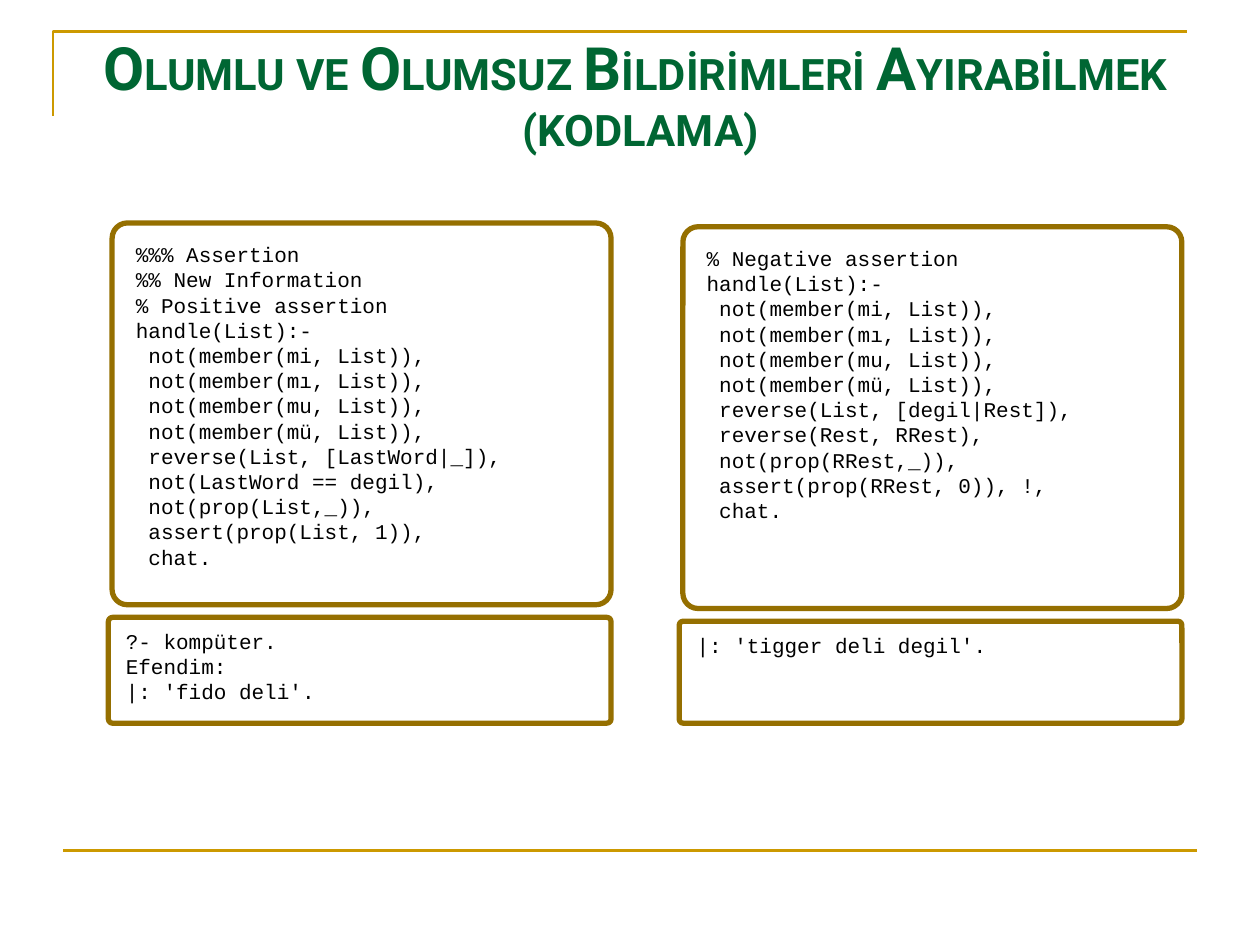
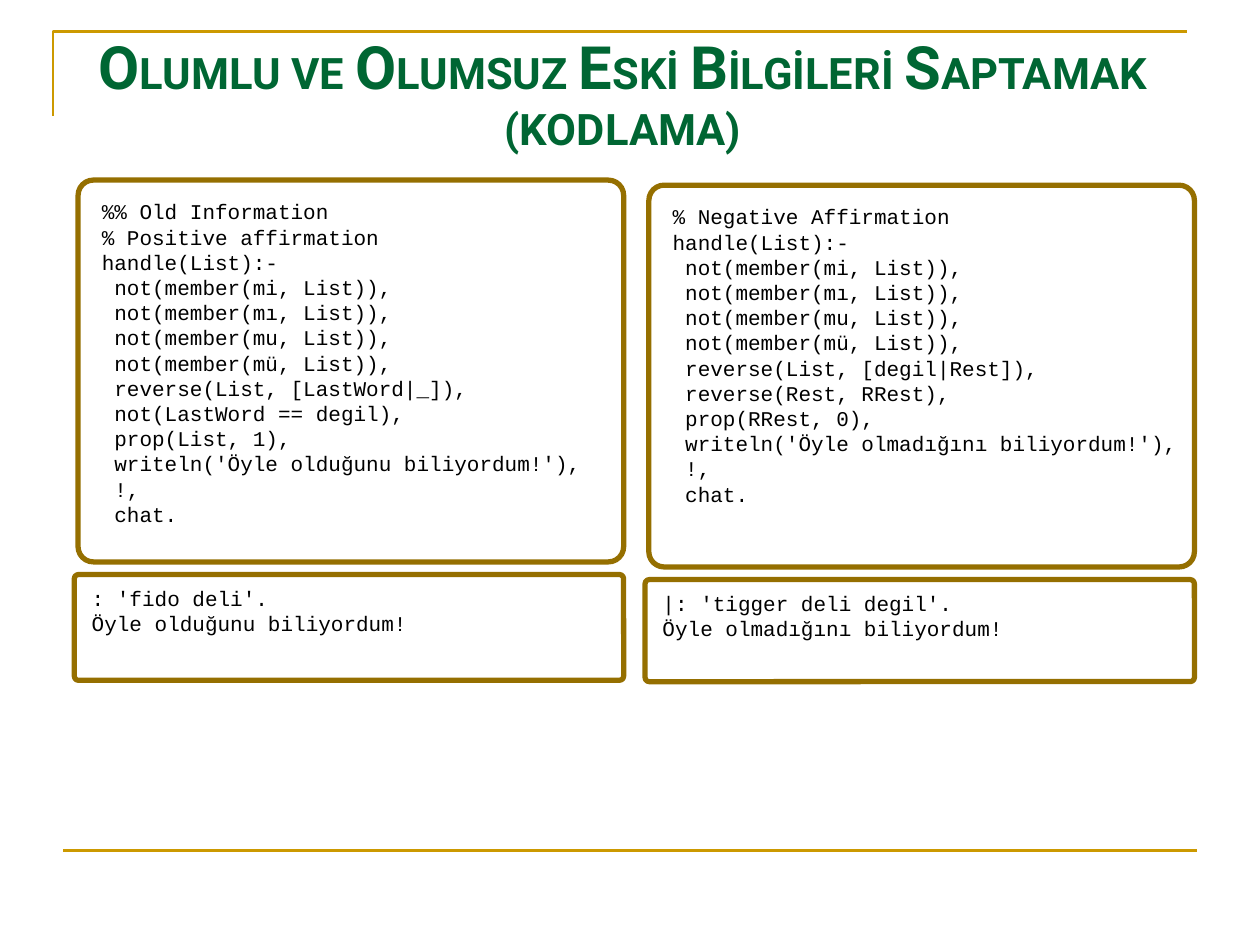
import pptx
import pptx.dml.color
import pptx.enum.shapes
import pptx.enum.text
import pptx.oxml.ns
import pptx.util
import lxml.etree

PX = 9144
GOLD = "CC9900"
BROWN = "956F00"
GREEN = "006633"
BLACK = "000000"
CODE_FONT = "Courier New"
TITLE_FONT = "Roboto"
LARGE_CAP = 34.1
SMALL_CAP = 24.8
CODE_HEIGHT = 303
QUERY_OFFSET = 313

QUESTION_CHECKS = [f" not(member({particle}, List))," for particle in ("mi", "mı", "mu", "mü")]
POSITIVE_START = ["handle(List):-", *QUESTION_CHECKS,
                  " reverse(List, [LastWord|_]),", " not(LastWord == degil),"]
NEGATIVE_START = ["handle(List):-", *QUESTION_CHECKS,
                  " reverse(List, [degil|Rest]),", " reverse(Rest, RRest),"]


def color(hex_string):
    return pptx.dml.color.RGBColor.from_string(hex_string)


def px(*lengths):
    return [length * PX for length in lengths]


def style_outline(shape, hex_string, width):
    shape.line.color.rgb = color(hex_string)
    shape.line.width = pptx.util.Pt(width)


def add_run(paragraph, text, font_name, size, hex_string, bold=False):
    run = paragraph.add_run()
    run.text = text
    run.font.name = font_name
    run.font.size = pptx.util.Pt(size)
    run.font.bold = bold
    run.font.color.rgb = color(hex_string)


def next_paragraph(text_frame, index):
    return text_frame.add_paragraph() if index else text_frame.paragraphs[0]


def add_gold_rules(slide):
    builder = slide.shapes.build_freeform(*px(42, 92))
    builder.add_line_segments([px(42, 25), px(942, 25)], close=False)
    corner = builder.convert_to_shape()
    corner.shadow.inherit = False
    corner.fill.background()
    style_outline(corner, GOLD, 1.5)

    footer_rule = slide.shapes.add_connector(
        pptx.enum.shapes.MSO_CONNECTOR.STRAIGHT, *px(50, 675, 950, 675))
    style_outline(footer_rule, GOLD, 1.5)
    lxml.etree.SubElement(footer_rule._element.spPr, pptx.oxml.ns.qn("a:effectLst"))


def set_title(slide, left, top, lines):
    title = slide.shapes.title
    title.left, title.top, title.width, title.height = px(left, top, 947, 81)
    text_frame = title.text_frame
    text_frame.word_wrap = True
    text_frame.auto_size = pptx.enum.text.MSO_AUTO_SIZE.NONE
    text_frame.vertical_anchor = pptx.enum.text.MSO_ANCHOR.TOP
    for line_index, line in enumerate(lines):
        paragraph = next_paragraph(text_frame, line_index)
        paragraph.alignment = pptx.enum.text.PP_ALIGN.CENTER
        paragraph.line_spacing = pptx.util.Pt(30)
        paragraph.space_before = pptx.util.Pt(0)
        for piece_index, piece in enumerate(line.split("|")):
            if piece:
                size = SMALL_CAP if piece_index % 2 else LARGE_CAP
                add_run(paragraph, piece, TITLE_FONT, size, GREEN, bold=True)


def add_frame(slide, left, top, width, height):
    frame = slide.shapes.add_shape(
        pptx.enum.shapes.MSO_SHAPE.ROUNDED_RECTANGLE, *px(left, top, width, height))
    frame.adjustments[0] = 0.04
    frame.shadow.inherit = False
    frame.fill.background()
    style_outline(frame, BROWN, 3)


def add_code(slide, left, top, width, lines):
    height = 10 + 20 * len(lines)
    text_box = slide.shapes.add_textbox(*px(left, top, width, height))
    text_frame = text_box.text_frame
    text_frame.word_wrap = True
    for index, line in enumerate(lines):
        add_run(next_paragraph(text_frame, index), line, CODE_FONT, 12, BLACK)


def add_panel(slide, left, top, width, query_height, code_width, code, query):
    add_frame(slide, left, top, width, CODE_HEIGHT)
    add_code(slide, left + 9, top + 10, code_width, code)
    query_left, query_top = left - 3, top + QUERY_OFFSET
    add_frame(slide, query_left, query_top, width + 3, query_height)
    add_code(slide, query_left + 4, query_top + 4, 327, query)


def add_code_slide(presentation, title_left, title_top, title_lines):
    slide = presentation.slides.add_slide(presentation.slide_layouts[5])
    add_gold_rules(slide)
    set_title(slide, title_left, title_top, title_lines)
    return slide


def main():
    presentation = pptx.Presentation()
    presentation.slide_width, presentation.slide_height = px(1000, 750)

    assertions = add_code_slide(presentation, 35, 35, [
        "O|LUMLU VE |O|LUMSUZ |B|İLDİRİMLERİ |A|YIRABİLMEK ", "|(KODLAMA)"])
    add_panel(assertions, 89, 177, 396, 84, 310,
              ["%%% Assertion", "%% New Information", "% Positive assertion",
               *POSITIVE_START, " not(prop(List,_)),", " assert(prop(List, 1)),", " chat."],
              ["?- kompüter.", "Efendim:", "|: 'fido deli'."])
    add_panel(assertions, 542, 180, 396, 81, 310,
              ["% Negative assertion", *NEGATIVE_START,
               " not(prop(RRest,_)),", " assert(prop(RRest, 0)), !,", " chat."],
              ["|: 'tigger deli degil'."])

    affirmations = add_code_slide(presentation, 21, 34, [
        "O|LUMLU VE |O|LUMSUZ |E|SKİ |B|İLGİLERİ |S|APTAMAK", "|(KODLAMA)"])
    add_panel(affirmations, 62, 143, 433, 84, 400,
              ["%% Old Information", "% Positive affirmation", *POSITIVE_START,
               " prop(List, 1),", " writeln('Öyle olduğunu biliyordum!'),", " !,", " chat."],
              [": 'fido deli'.", "Öyle olduğunu biliyordum!"])
    add_panel(affirmations, 515, 147, 433, 81, 430,
              ["% Negative Affirmation", *NEGATIVE_START,
               " prop(RRest, 0),", " writeln('Öyle olmadığını biliyordum!'),", " !,", " chat."],
              ["|: 'tigger deli degil'.", "Öyle olmadığını biliyordum!"])

    presentation.save("out.pptx")


if __name__ == "__main__":
    main()
